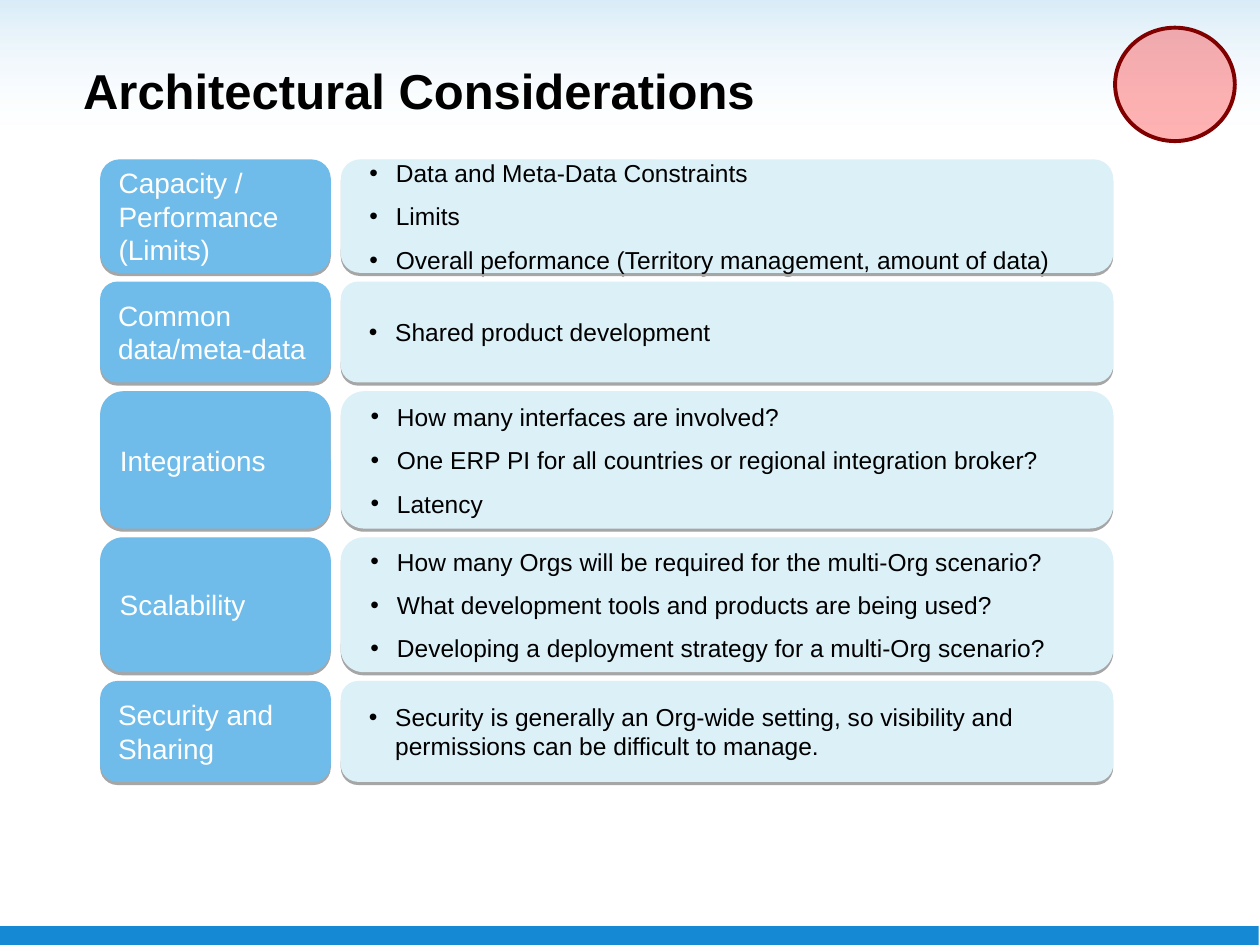
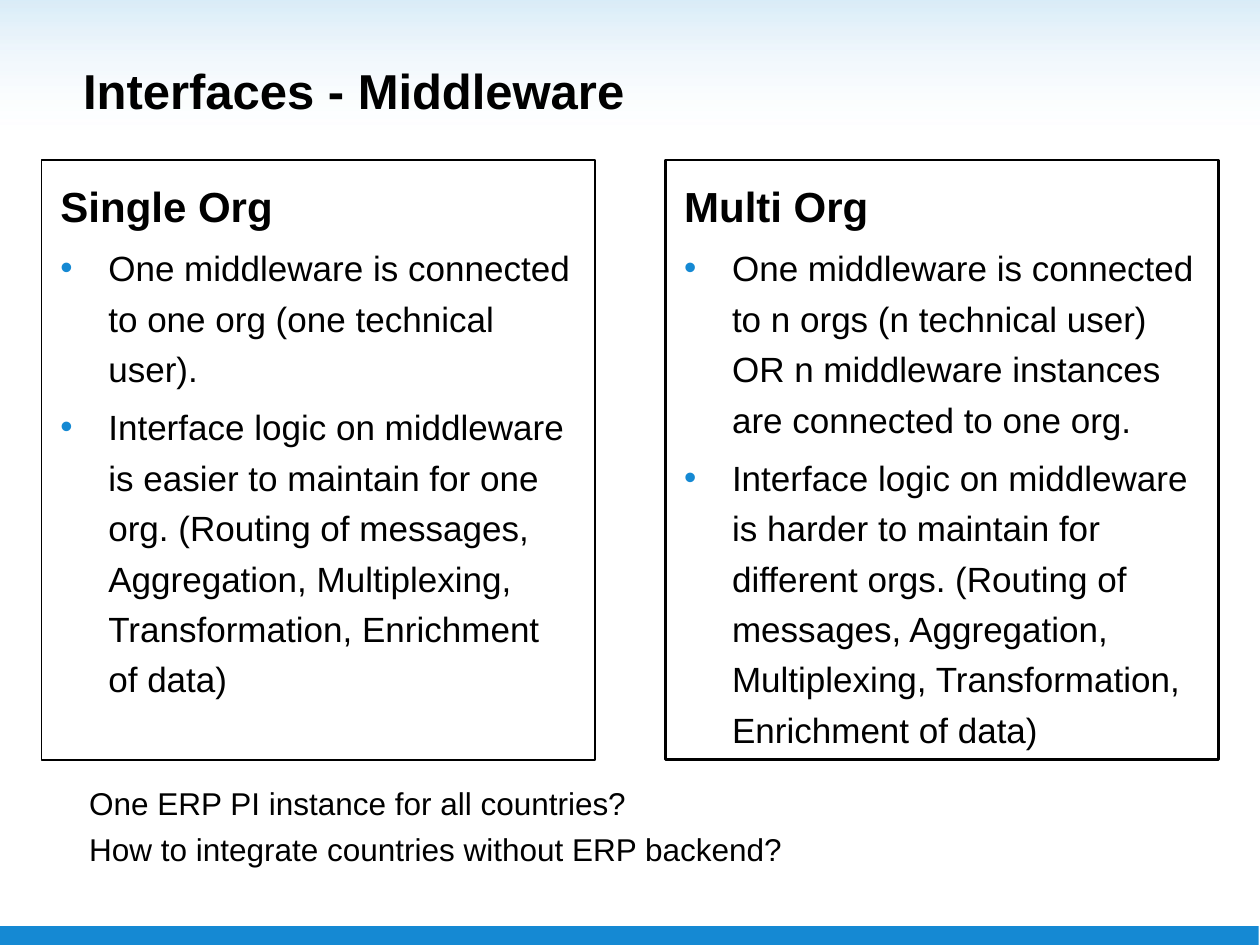
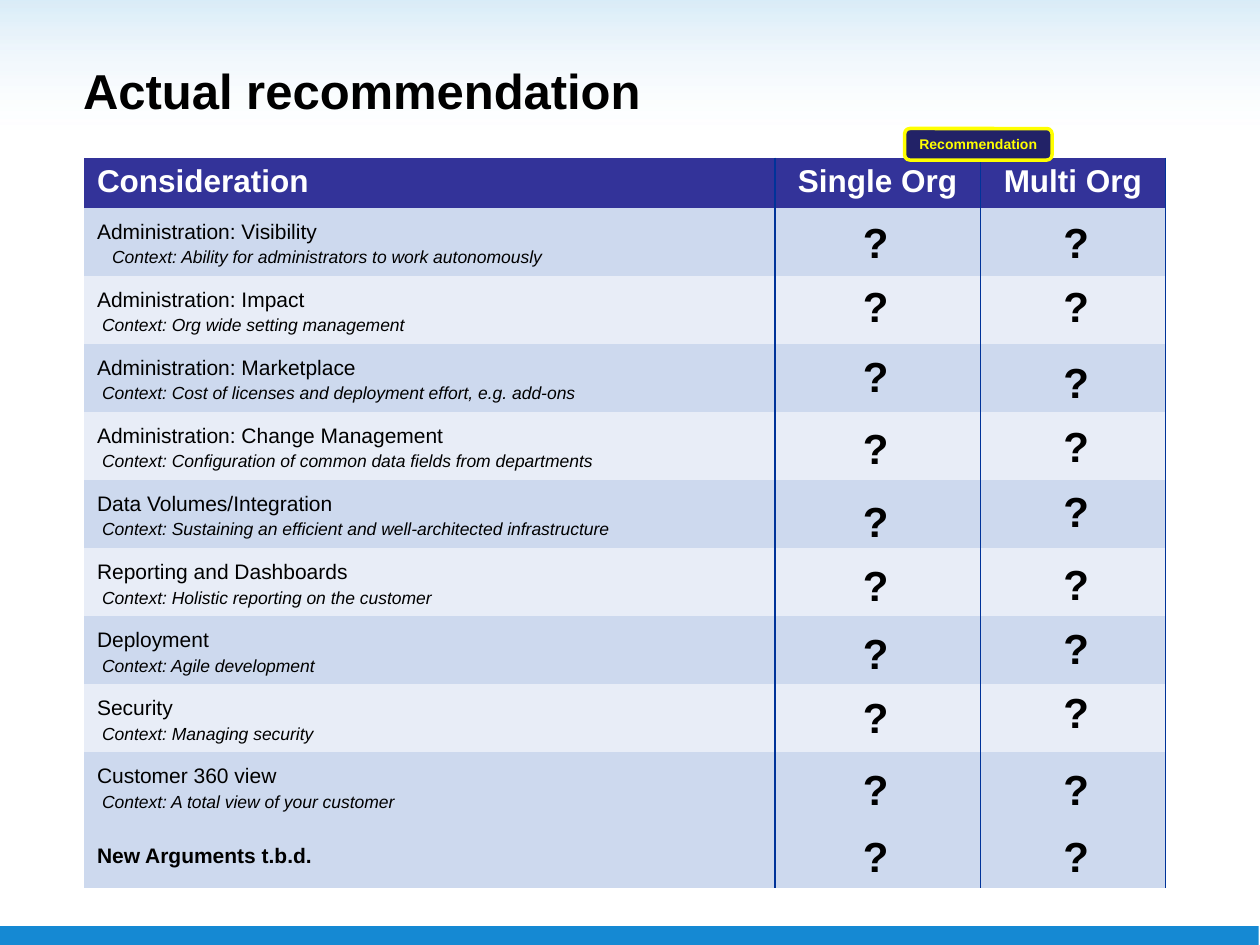
"""Build three slides on single-org and multi-org architecture choices."""
from dataclasses import dataclass, field
from typing import NamedTuple, Optional

from lxml import etree
from pptx import Presentation
from pptx.dml.color import RGBColor
from pptx.enum.shapes import MSO_SHAPE as Preset
from pptx.enum.text import MSO_ANCHOR as Anchor, MSO_AUTO_SIZE as AutoSize, PP_ALIGN as Align
from pptx.oxml import parse_xml
from pptx.oxml.ns import nsdecls, qn
from pptx.util import Inches, Pt


@dataclass(frozen=True)
class TextStyle:
    """Size, colour and weight of a run."""
    size: float
    color: str = "000000"
    bold: bool = False
    italic: bool = False


@dataclass(frozen=True)
class Theme:
    """Colours, font and type sizes shared by the slides."""
    font: str = "Arial"
    black: str = "000000"
    white: str = "FFFFFF"
    blue: str = "1589D3"
    topic_blue: str = "6FBCEA"
    detail_blue: str = "DCF0F8"
    marker_red: str = "FF0000"
    marker_edge: str = "800000"
    header_blue: str = "333399"
    stripes: tuple[str, str] = ("CDD9EE", "E8EDF7")
    rule_blue: str = "003399"
    badge_navy: str = "222267"
    badge_yellow: str = "FFFF00"
    title: TextStyle = TextStyle(28, bold=True)
    topic: TextStyle = TextStyle(16, "FFFFFF")
    detail: TextStyle = TextStyle(14)
    column_heading: TextStyle = TextStyle(24, bold=True)
    column_point: TextStyle = TextStyle(20)
    question: TextStyle = TextStyle(18)
    table_header: TextStyle = TextStyle(18, "FFFFFF", bold=True)
    argument: TextStyle = TextStyle(12)
    open_argument: TextStyle = TextStyle(12, bold=True)
    context: TextStyle = TextStyle(10, italic=True)
    badge: TextStyle = TextStyle(8, "FFFF00", bold=True)
    verdict: TextStyle = TextStyle(24, bold=True)


THEME = Theme()
NO_TABLE_STYLE = "{2D5ABB26-0587-4C30-8999-92F81FD0307C}"


class Box(NamedTuple):
    """Place and size in inches."""
    left: float
    top: float
    width: float
    height: float

    def emu(self) -> tuple:
        """Return the four lengths for python-pptx."""
        return tuple(Inches(length) for length in self)


@dataclass(frozen=True)
class Para:
    """One paragraph with its layout."""
    text: str
    style: TextStyle
    align: Align = Align.LEFT
    margin: float = 0
    indent: float = 0
    before: float = 0
    after: float = 0
    spacing: Optional[float] = None
    bullet: Optional[str] = None


class Topic(NamedTuple):
    """A consideration with its details and row height."""
    name: str
    height: float
    details: list[str]


class OrgColumn(NamedTuple):
    """A framed list for one org strategy."""
    heading: str
    left: float
    border: float
    points: list[str]


@dataclass(frozen=True)
class Argument:
    """A table row comparing the org strategies."""
    name: str
    context: str = ""
    context_margin: float = 0.04
    style: TextStyle = field(default=THEME.argument)


TOPICS = [
    Topic("Capacity / Performance (Limits)", 0.89, [
        "Data and Meta-Data Constraints",
        "Limits",
        "Overall peformance (Territory management, amount of data)"]),
    Topic("Common data/meta-data", 0.79, ["Shared product development"]),
    Topic("Integrations", 1.08, [
        "How many interfaces are involved?",
        "One ERP PI for all countries or regional integration broker?",
        "Latency"]),
    Topic("Scalability", 1.06, [
        "How many Orgs will be required for the multi-Org scenario?",
        "What development tools and products are being used?",
        "Developing a deployment strategy for a multi-Org scenario?"]),
    Topic("Security and Sharing", 0.79, [
        "Security is generally an Org-wide setting, so visibility and "
        "permissions can be difficult to manage."]),
]

ORG_COLUMNS = [
    OrgColumn("Single Org", 0.33, 1, [
        "One middleware is connected to one org (one technical user).",
        "Interface logic on middleware is easier to maintain for one org. (Routing of messages, "
        "Aggregation, Multiplexing, Transformation, Enrichment of data)"]),
    OrgColumn("Multi Org", 5.28, 1.5, [
        "One middleware is connected to n orgs (n technical user) OR n middleware instances "
        "are connected to one org.",
        "Interface logic on middleware is harder to maintain for different orgs. (Routing of "
        "messages, Aggregation, Multiplexing, Transformation, Enrichment of data)"]),
]

OPEN_QUESTIONS = [
    "One ERP PI instance for all countries?",
    "How to integrate countries without ERP backend?",
]

ARGUMENTS = [
    Argument("Administration: Visibility",
             "Context: Ability for administrators to work autonomously", 0.12),
    Argument("Administration: Impact", "Context: Org wide setting management"),
    Argument("Administration: Marketplace",
             "Context: Cost of licenses and deployment effort, e.g. add-ons"),
    Argument("Administration: Change Management",
             "Context: Configuration of common data fields from departments"),
    Argument("Data Volumes/Integration",
             "Context: Sustaining an efficient and well-architected infrastructure"),
    Argument("Reporting and Dashboards", "Context: Holistic reporting on the customer"),
    Argument("Deployment", "Context: Agile development"),
    Argument("Security", "Context: Managing security"),
    Argument("Customer 360 view", "Context: A total view of your customer"),
    Argument("New Arguments t.b.d.", style=THEME.open_argument),
]

VERDICT_TOPS = {
    6.75: [1.67, 2.18, 2.73, 3.3, 3.88, 4.39, 4.93, 5.44, 6.01, 6.54],
    8.34: [1.67, 2.18, 2.78, 3.29, 3.8, 4.38, 4.89, 5.4, 6.01, 6.54],
}


def rgb(color: str) -> RGBColor:
    """Turn a hex string into a colour."""
    return RGBColor.from_string(color)


def write(frame, paras: list[Para], anchor: Anchor = Anchor.TOP) -> None:
    """Fill a text frame or table cell text with paragraphs."""
    frame.word_wrap = True
    frame.vertical_anchor = anchor
    write_paragraphs(frame, paras)


def write_paragraphs(frame, paras: list[Para]) -> None:
    """Add formatted paragraphs to a text frame."""
    for number, para in enumerate(paras):
        paragraph = frame.add_paragraph() if number else frame.paragraphs[0]
        paragraph.alignment = para.align
        paragraph.space_before = Pt(para.before if number else 0)
        paragraph.space_after = Pt(para.after)
        if para.spacing:
            paragraph.line_spacing = para.spacing
        props = paragraph._p.get_or_add_pPr()
        props.set("marL", str(Inches(para.margin)))
        props.set("indent", str(Inches(para.indent)))
        if para.bullet:
            tint = etree.SubElement(props, qn("a:buClr"))
            etree.SubElement(tint, qn("a:srgbClr"), val=para.bullet)
            etree.SubElement(props, qn("a:buFont"), typeface=THEME.font)
            etree.SubElement(props, qn("a:buChar"), char="•")
        else:
            etree.SubElement(props, qn("a:buNone"))
        run = paragraph.add_run()
        run.text = para.text
        run.font.name = THEME.font
        run.font.size = Pt(para.style.size)
        run.font.bold = para.style.bold
        run.font.italic = para.style.italic
        run.font.color.rgb = rgb(para.style.color)


def add_filled(slide, preset: Preset, box: Box, fill: str,
               line: Optional[str] = None, weight: float = 0.75):
    """Draw a flat preset shape."""
    shape = slide.shapes.add_shape(preset, *box.emu())
    shape.shadow.inherit = False
    shape.fill.solid()
    shape.fill.fore_color.rgb = rgb(fill)
    if line:
        shape.line.color.rgb = rgb(line)
        shape.line.width = Pt(weight)
    else:
        shape.line.fill.background()
    return shape


def add_alpha(color_element, percent: int) -> None:
    """Make a colour element partly transparent."""
    etree.SubElement(color_element, qn("a:alpha"), val=str(percent * 1000))


def move_to_master(prs, shape, order: int) -> None:
    """Place a shape behind everything on the slide master."""
    shape.element.nvSpPr.cNvPr.set("id", str(100 + order))
    prs.slide_master.shapes.element.insert(2 + order, shape.element)


def add_master_bands(prs, slide) -> None:
    """Give the master its footer bar and fading header."""
    footer = add_filled(slide, Preset.RECTANGLE, Box(-0.01, 7.35, 10, 0.18), THEME.blue)
    header = add_filled(slide, Preset.RECTANGLE, Box(0, 0, 10, 1.57), THEME.white)
    header.fill.gradient()
    header.fill.gradient_angle = 90
    fade = [(0.27, THEME.white, 0), (1, THEME.blue, 16)]
    for stop, (position, color, opacity) in zip(header.fill.gradient_stops, fade):
        stop.position = position
        stop.color.rgb = rgb(color)
    for tint, (_, _, opacity) in zip(header.element.xpath(".//a:gs/a:srgbClr"), fade):
        add_alpha(tint, opacity)
    for order, band in enumerate((footer, header)):
        move_to_master(prs, band, order)


def place(placeholder, box: Box) -> None:
    """Move a placeholder."""
    placeholder.left, placeholder.top, placeholder.width, placeholder.height = box.emu()


def add_titled_slide(prs, layout: int, title: str):
    """Add a slide with the shared title style."""
    slide = prs.slides.add_slide(prs.slide_layouts[layout])
    heading = slide.shapes.title
    place(heading, Box(0.56, 0.28, 9, 0.87))
    heading.text_frame.auto_size = AutoSize.NONE
    write(heading.text_frame, [Para(title, THEME.title)], Anchor.MIDDLE)
    return slide


def add_panel(slide, box: Box, color: str, paras: list[Para]) -> None:
    """Draw a rounded panel with a thin drop shadow."""
    panel = add_filled(slide, Preset.ROUNDED_RECTANGLE, box, color, color)
    effects = panel.element.spPr.find(qn("a:effectLst"))
    effects.append(parse_xml(
        f'<a:outerShdw {nsdecls("a")} blurRad="0" dist="{Pt(1.8)}" dir="5400000" '
        'algn="ctr" rotWithShape="0"><a:srgbClr val="000000"><a:alpha val="35000"/>'
        '</a:srgbClr></a:outerShdw>'))
    write(panel.text_frame, paras, Anchor.MIDDLE)


def build_considerations(prs) -> None:
    """Build the slide of topic rows and the red marker."""
    slide = add_titled_slide(prs, 5, "Architectural Considerations")
    add_master_bands(prs, slide)
    top, gap = 1.27, 0.08
    for topic in TOPICS:
        add_panel(slide, Box(0.8, top, 1.82, topic.height), THEME.topic_blue,
                  [Para(topic.name, THEME.topic)])
        add_panel(slide, Box(2.71, top, 6.12, topic.height), THEME.detail_blue,
                  [Para(detail, THEME.detail, margin=0.29, indent=-0.21, after=8,
                        bullet=THEME.black) for detail in topic.details])
        top += topic.height + gap
    marker = add_filled(slide, Preset.OVAL, Box(8.85, 0.22, 0.95, 0.9),
                        THEME.marker_red, THEME.marker_edge, 2.25)
    add_alpha(marker.element.spPr.find(qn("a:solidFill"))[0], 30)


def build_middleware(prs) -> None:
    """Build the two framed lists and the open questions."""
    slide = add_titled_slide(prs, 3, "Interfaces - Middleware")
    for index, column in enumerate(ORG_COLUMNS, start=1):
        body = slide.placeholders[index]
        place(body, Box(column.left, 1.27, 4.39, 4.76))
        body.line.color.rgb = rgb(THEME.black)
        body.line.width = Pt(column.border)
        frame = body.text_frame
        frame.auto_size = AutoSize.NONE
        frame.margin_left = frame.margin_right = Inches(0.15)
        frame.margin_top = frame.margin_bottom = Inches(0.08)
        hanging = dict(margin=0.38, indent=-0.38, spacing=1.2, before=4.5)
        write(frame, [Para(column.heading, THEME.column_heading, **hanging)] + [
            Para(point, THEME.column_point, bullet=THEME.blue, **hanging)
            for point in column.points])
    questions = slide.shapes.add_textbox(*Box(0.35, 6.17, 9.31, 1.01).emu())
    write(questions.text_frame, [
        Para(question, THEME.question, margin=0.25, indent=0.01, before=5)
        for question in OPEN_QUESTIONS])


def fill_cell(cell, color: str, borders: list[str], paras: list[Para]) -> None:
    """Colour a cell, rule its sides and write its text."""
    cell.fill.solid()
    cell.fill.fore_color.rgb = rgb(color)
    for order, side in enumerate(borders):
        cell._tc.get_or_add_tcPr().insert(order, parse_xml(
            f'<a:{side} {nsdecls("a")} w="{Pt(1)}"><a:solidFill>'
            f'<a:srgbClr val="{THEME.rule_blue}"/></a:solidFill></a:{side}>'))
    write_paragraphs(cell.text_frame, paras)


def argument_paras(argument: Argument) -> list[Para]:
    """Return the name and context lines of an argument."""
    paras = [Para(argument.name, argument.style, spacing=1.2)]
    if argument.context:
        paras.append(Para(argument.context, THEME.context, spacing=1.2,
                          margin=argument.context_margin))
    return paras


def add_comparison(slide) -> None:
    """Draw the table of arguments."""
    headers = ["Consideration", "Single Org", "Multi Org"]
    graphic = slide.shapes.add_table(len(ARGUMENTS) + 1, len(headers),
                                     *Box(0.67, 1.25, 8.58, 5.8).emu())
    graphic.element.xpath(".//a:tableStyleId")[0].text = NO_TABLE_STYLE
    table = graphic.table
    table.first_row = table.horz_banding = False
    for column, width in zip(table.columns, (5.48, 1.63, 1.47)):
        column.width = Inches(width)
    for number, row in enumerate(table.rows):
        row.height = Inches(0.54 if number else 0.4)
        last = number == len(ARGUMENTS)
        stripe = THEME.stripes[0 if number % 2 or last else 1]
        for index, cell in enumerate(row.cells):
            borders = ["lnL", "lnR"] if index else ["lnR"]
            if number == 0:
                align = Align.CENTER if index else Align.LEFT
                fill_cell(cell, THEME.header_blue, borders,
                          [Para(headers[index], THEME.table_header, align)])
            elif index == 0:
                cell.vertical_anchor = Anchor.MIDDLE
                cell.margin_right = Inches(0.07)
                fill_cell(cell, stripe, borders, argument_paras(ARGUMENTS[number - 1]))
            else:
                fill_cell(cell, stripe, borders, [])


def build_recommendation(prs) -> None:
    """Build the comparison table with its badge and verdicts."""
    slide = add_titled_slide(prs, 5, "Actual recommendation")
    add_comparison(slide)
    badge = add_filled(slide, Preset.ROUNDED_RECTANGLE, Box(7.18, 1.02, 1.17, 0.25),
                       THEME.badge_navy, THEME.badge_yellow, 2)
    write(badge.text_frame, [Para("Recommendation", THEME.badge, Align.CENTER)], Anchor.MIDDLE)
    badge.text_frame.word_wrap = False
    for left, tops in VERDICT_TOPS.items():
        for top in tops:
            verdict = slide.shapes.add_textbox(*Box(left, top, 0.42, 0.51).emu())
            write(verdict.text_frame, [Para("?", THEME.verdict)])


def main() -> None:
    """Build and save the deck."""
    prs = Presentation()
    prs.slide_width, prs.slide_height = Inches(10), Inches(7.5)
    build_considerations(prs)
    build_middleware(prs)
    build_recommendation(prs)
    prs.save("out.pptx")


if __name__ == "__main__":
    main()
